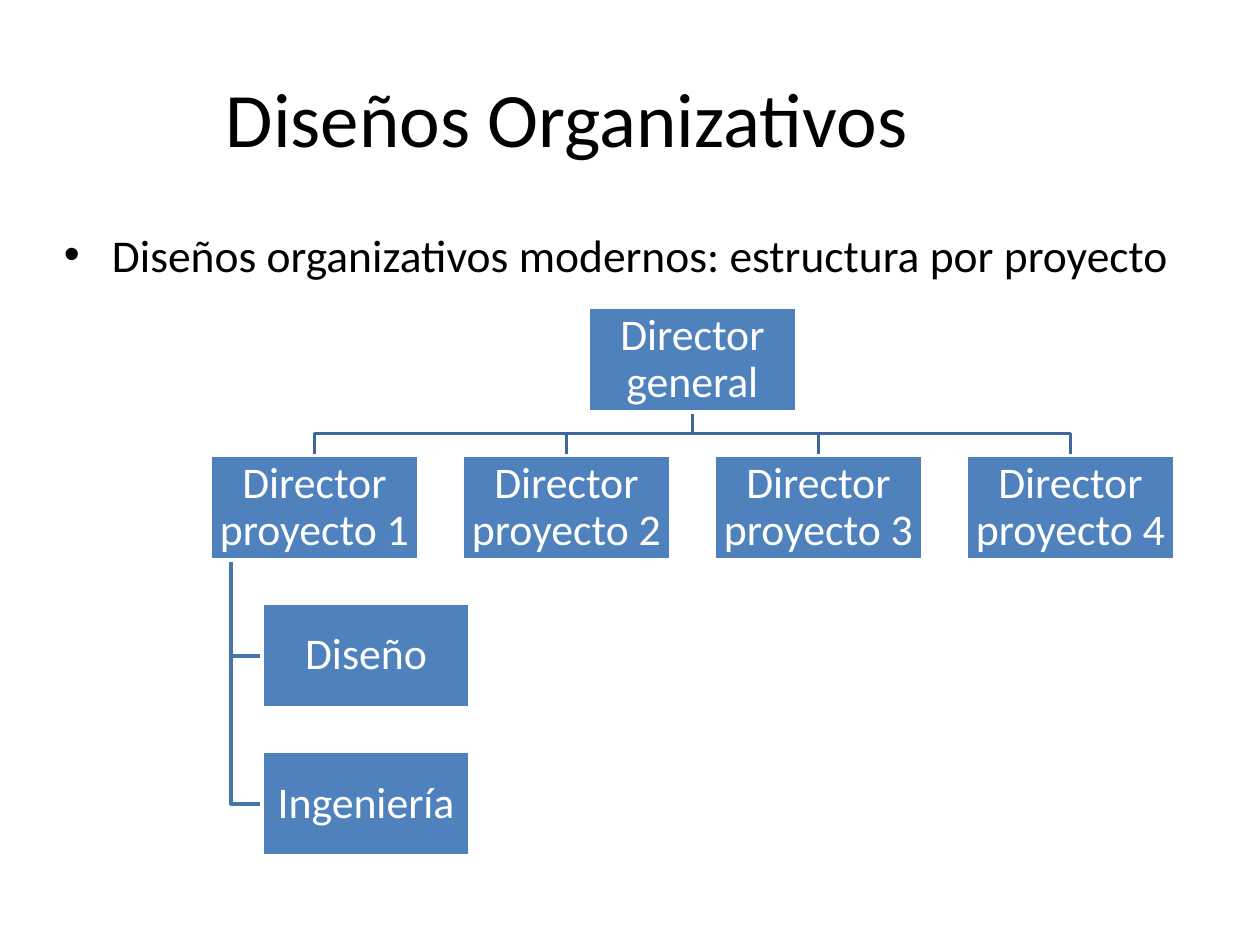
"""Build the slide on organisation by project, with its chart of directors and areas."""
from lxml.etree import SubElement
from pptx import Presentation
from pptx.dml.color import RGBColor
from pptx.enum.shapes import MSO_SHAPE
from pptx.enum.text import MSO_ANCHOR as ANCHOR, PP_ALIGN as ALIGN
from pptx.oxml.ns import qn
from pptx.util import Inches, Pt

BLACK = RGBColor(0x00, 0x00, 0x00)
WHITE = RGBColor(0xFF, 0xFF, 0xFF)
BLUE = RGBColor(0x4F, 0x81, 0xBD)
DARK_BLUE = RGBColor(0x3F, 0x67, 0x97)
MID_BLUE = RGBColor(0x48, 0x75, 0xAC)

FONT = "Calibri"
BOX_W, BOX_H = 1.65, 0.83
TOP, ROW_STEP = 2.44, 1.175
LEFT, COL_STEP = 1.67, 2
AREA_LEFT = 2.08
PROJECTS = 4
AREAS = ["Diseño", "Ingeniería"]


def write(tf, text, size, color=BLACK, align=ALIGN.LEFT, anchor=ANCHOR.TOP,
          inset=None, line_spacing=None, before=0):
    tf.word_wrap = True
    tf.vertical_anchor = anchor
    if inset is not None:
        tf.margin_left = tf.margin_right = Inches(inset)
        tf.margin_top = tf.margin_bottom = Inches(inset)
    p = tf.paragraphs[0]
    p.alignment = align
    p.space_before = Pt(before)
    if line_spacing:
        p.line_spacing = line_spacing
    r = p.add_run()
    r.text = text
    r.font.name = FONT
    r.font.size = Pt(size)
    r.font.color.rgb = color
    return p


def add_title(s, text):
    sp = s.shapes.title
    sp.left, sp.top, sp.width, sp.height = map(Inches, (0, 0.3, 9, 1.25))
    write(sp.text_frame, text, 44, align=ALIGN.CENTER, anchor=ANCHOR.MIDDLE)


def add_bullet(s, text):
    sp = s.shapes.add_textbox(*map(Inches, (0.41, 1.75, 9, 1.33)))
    pPr = write(sp.text_frame, text, 26, before=5.2)._p.get_or_add_pPr()
    pPr.set("marL", str(Inches(0.38)))
    pPr.set("indent", str(Inches(-0.38)))
    SubElement(pPr, qn("a:buFont")).set("typeface", "Arial")
    SubElement(pPr, qn("a:buChar")).set("char", "•")


def add_box(s, x, y, text):
    sp = s.shapes.add_shape(MSO_SHAPE.RECTANGLE, *map(Inches, (x, y, BOX_W, BOX_H)))
    sp.shadow.inherit = False
    sp.fill.solid()
    sp.fill.fore_color.rgb = BLUE
    sp.line.color.rgb = WHITE
    sp.line.width = Pt(2)
    write(sp.text_frame, text, 25, WHITE, ALIGN.CENTER, ANCHOR.MIDDLE,
          inset=0.02, line_spacing=0.9)


def add_elbow(s, points, color):
    start, *rest = [(Inches(x), Inches(y)) for x, y in points]
    builder = s.shapes.build_freeform(*start)
    builder.add_line_segments(rest, close=False)
    sp = builder.convert_to_shape()
    sp.shadow.inherit = False
    sp.fill.background()
    sp.line.color.rgb = color
    sp.line.width = Pt(2)


def add_organisation(s):
    row_tops = [TOP + i * ROW_STEP for i in range(2 + len(AREAS))]
    lefts = [LEFT + i * COL_STEP for i in range(PROJECTS)]
    general_left = (lefts[0] + lefts[-1]) / 2
    general_x, general_bottom = general_left + BOX_W / 2, TOP + BOX_H
    middle_y = (general_bottom + row_tops[1]) / 2
    trunk_x = LEFT + BOX_W / 10

    for left in lefts:
        x = left + BOX_W / 2
        add_elbow(s, [(general_x, general_bottom), (general_x, middle_y),
                      (x, middle_y), (x, row_tops[1])], DARK_BLUE)
    for top in row_tops[2:]:
        y = top + BOX_H / 2
        add_elbow(s, [(trunk_x, row_tops[1] + BOX_H), (trunk_x, y),
                      (AREA_LEFT, y)], MID_BLUE)

    add_box(s, general_left, TOP, "Director general")
    for number, left in enumerate(lefts, 1):
        add_box(s, left, row_tops[1], f"Director proyecto {number}")
    for top, area in zip(row_tops[2:], AREAS):
        add_box(s, AREA_LEFT, top, area)


def main():
    prs = Presentation()
    prs.slide_width, prs.slide_height = Inches(10), Inches(7.5)
    s = prs.slides.add_slide(prs.slide_layouts[5])
    add_title(s, "Diseños Organizativos")
    add_bullet(s, "Diseños organizativos modernos: estructura por proyecto")
    add_organisation(s)
    prs.save("out.pptx")


if __name__ == "__main__":
    main()
